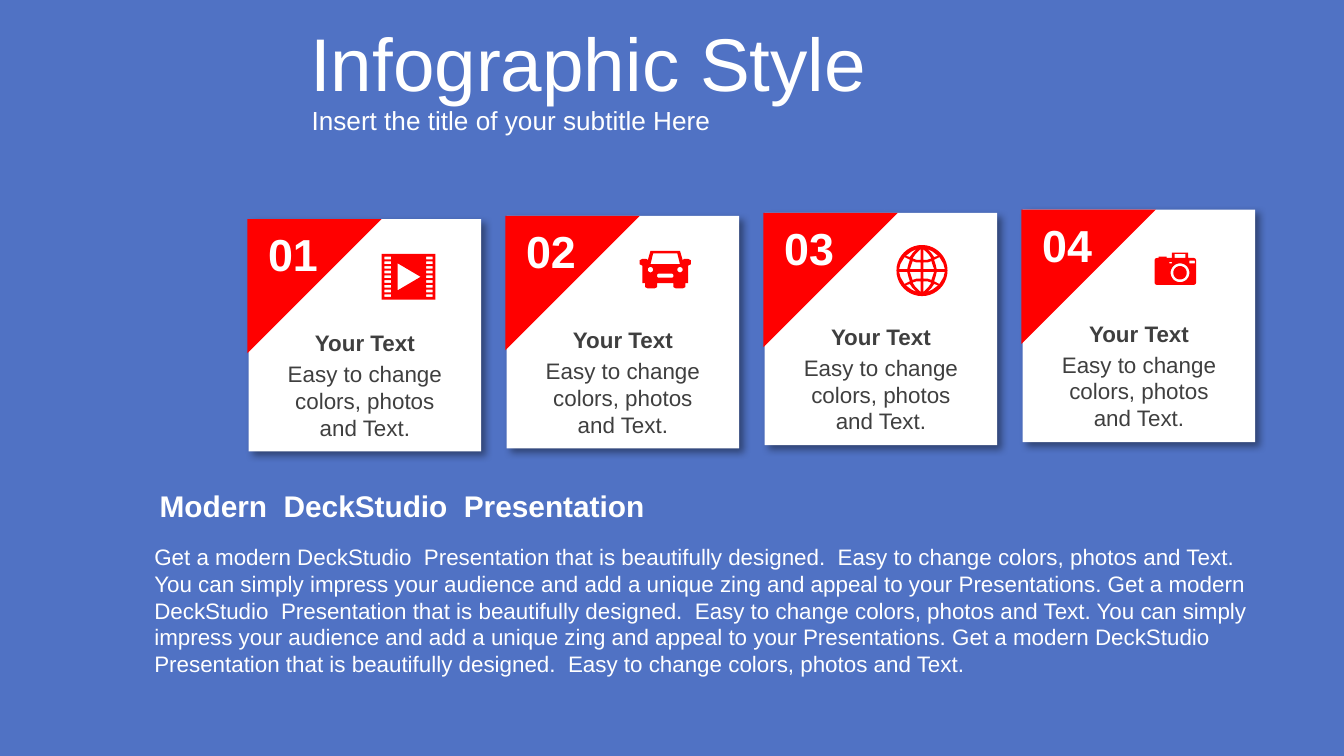
from math import cos, pi, sin

from lxml import etree
from pptx import Presentation
from pptx.dml.color import RGBColor
from pptx.enum.shapes import MSO_SHAPE
from pptx.enum.text import MSO_ANCHOR, PP_ALIGN
from pptx.oxml import parse_xml
from pptx.util import Inches, Pt

RECTANGLE, TRIANGLE = MSO_SHAPE.RECTANGLE, MSO_SHAPE.RIGHT_TRIANGLE
TOP, MIDDLE = MSO_ANCHOR.TOP, MSO_ANCHOR.MIDDLE
LEFT, CENTER = PP_ALIGN.LEFT, PP_ALIGN.CENTER
DRAWING = "http://schemas.openxmlformats.org/drawingml/2006/main"

THEME = {
    "font": "Arial",
    "background": "5072C4",
    "white": "FFFFFF",
    "accent": "FF0000",
    "dark": "3F3F3F",
    "title": 40,
    "number": 24,
    "heading": 16,
    "subtitle": 14,
    "body": 12,
}

PITCH_START = (
    "Get a modern DeckStudio  Presentation that is beautifully designed.  "
    "Easy to change colors, photos and Text."
)
PITCH_END = (
    "You can simply impress your audience and add a unique zing and appeal "
    "to your Presentations."
)
TEXTS = [
    ("Modern  DeckStudio  Presentation", (1.09, 3.58, 4.57, 0.37),
     {"size": "heading", "bold": True}),
    (" ".join([PITCH_START, PITCH_END] * 2 + [PITCH_START]),
     (1.05, 3.99, 8.4, 1.11), {"size": "body"}),
    ("Infographic Style", (2.21, 0.13, 7.79, 0.66),
     {"size": "title", "anchor": MIDDLE, "inset": 0.1}),
    ("Insert the title of your subtitle Here", (2.22, 0.74, 7.76, 0.31),
     {"size": "subtitle", "anchor": MIDDLE, "inset": 0.1}),
]
CARDS = [
    ("01", "film", (1.19, 0.43)),
    ("02", "car", (1.18, 0.4)),
    ("03", "globe", (1.17, 0.43)),
    ("04", "camera", (1.14, 0.44)),
]
CARD_TITLE = "Your Text"
CARD_BODY = "Easy to change colors, photos and Text."
CARD_LEFT, CARD_TOP, CARD_SIZE = 1.85, 1.63, 1.73
CARD_STEP, CARD_RISE = 1.92, 0.07

CAR_SIDE = [
    (0.11, -0.14), (0.13, -0.07), (0.14, -0.08), (0.17, -0.08),
    (0.19, -0.07), (0.19, -0.04), (0.17, -0.03), (0.17, 0.1),
    (0.15, 0.1), (0.15, 0.13), (0.13, 0.14), (0.08, 0.14),
    (0.06, 0.13), (0.06, 0.1),
]
GLOBE_QUARTER = [
    [(0.11, 0.01), (0.17, 0.01), (0.16, 0.05), (0.13, 0.1),
     (0.09, 0.08), (0.1, 0.05)],
    [(0.01, 0.01), (0.09, 0.01), (0.08, 0.04), (0.07, 0.07),
     (0.04, 0.06), (0.01, 0.06)],
    [(0.01, 0.08), (0.04, 0.08), (0.07, 0.09), (0.05, 0.12), (0.01, 0.16)],
    [(0.09, 0.1), (0.12, 0.11), (0.08, 0.14), (0.04, 0.16), (0.07, 0.13)],
]


def circle(x, y, radius, start=0.0, sweep=2 * pi, steps=40):
    angles = [start + sweep * step / steps for step in range(steps + 1)]
    return [(x + radius * cos(a), y + radius * sin(a)) for a in angles]


def rectangle(x, y, width, height, radius=0.0):
    if not radius:
        return [(x, y), (x + width, y), (x + width, y + height), (x, y + height)]
    right, bottom = x + width - radius, y + height - radius
    corners = [(right, bottom), (x + radius, bottom),
               (x + radius, y + radius), (right, y + radius)]
    return [
        point
        for turn, (cx, cy) in enumerate(corners)
        for point in circle(cx, cy, radius, turn * pi / 2, pi / 2, 6)
    ]


def mirror(points):
    return points + [(-x, y) for x, y in reversed(points)]


def film():
    holes = [
        rectangle(x, -0.15 + row * 0.035, 0.05, 0.02)
        for row in range(9) for x in (-0.18, 0.13)
    ]
    play = [(-0.08, -0.1), (-0.08, 0.1), (0.09, 0)]
    return [rectangle(-0.2, -0.17, 0.4, 0.34), play, *holes]


def car():
    window = mirror([(0.09, -0.12), (0.11, -0.04)])
    lights = [circle(x, 0, 0.02) for x in (-0.11, 0.11)]
    return [mirror(CAR_SIDE), window, rectangle(-0.06, 0.03, 0.12, 0.03, 0.01), *lights]


def globe():
    cells = [
        [(x * side, y * end) for x, y in cell]
        for cell in GLOBE_QUARTER for side in (-1, 1) for end in (-1, 1)
    ]
    return [circle(0, 0, 0.19), *cells]


def camera():
    body = rectangle(-0.16, -0.08, 0.31, 0.2, 0.02)
    bump = [(-0.03, -0.08), (-0.03, -0.12), (0.09, -0.12), (0.09, -0.08)]
    viewer = rectangle(-0.01, -0.11, 0.08, 0.03)
    button = rectangle(-0.13, -0.09, 0.06, 0.01)
    flashes = [rectangle(-0.05, -0.05, 0.02, 0.01), rectangle(0.1, -0.06, 0.04, 0.02)]
    lens = [circle(0.03, 0.03, radius) for radius in (0.07, 0.05)]
    return [body, bump, viewer, button, *flashes, *lens]


ICONS = {"film": film, "car": car, "globe": globe, "camera": camera}


def paint(shape, color):
    shape.shadow.inherit = False
    shape.fill.solid()
    shape.fill.fore_color.rgb = RGBColor.from_string(THEME[color])
    shape.line.fill.background()


def add_block(page, kind, place, color):
    shape = page.shapes.add_shape(kind, *map(Inches, place))
    paint(shape, color)
    return shape


def add_shadow(shape):
    effects = shape._element.spPr.find(f"{{{DRAWING}}}effectLst")
    shadow = parse_xml(
        f'<a:outerShdw xmlns:a="{DRAWING}" blurRad="50800" dist="38100" '
        'dir="2700000" algn="tl" rotWithShape="0">'
        '<a:srgbClr val="000000"/></a:outerShdw>'
    )
    etree.SubElement(shadow[0], f"{{{DRAWING}}}alpha", val="40000")
    effects.append(shadow)


def add_icon(page, contours, x, y):
    placed = [[(Inches(x + dx), Inches(y + dy)) for dx, dy in c] for c in contours]
    builder = page.shapes.build_freeform(*placed[0][0])
    for index, contour in enumerate(placed):
        if index:
            builder.move_to(*contour[0])
        builder.add_line_segments(contour[1:], close=True)
    paint(builder.convert_to_shape(), "accent")


def add_text(page, text, place, size, color="white", bold=False,
             align=LEFT, anchor=TOP, inset=0.05):
    box = page.shapes.add_textbox(*map(Inches, place))
    frame = box.text_frame
    layout = {
        "word_wrap": True, "vertical_anchor": anchor,
        "margin_left": Inches(0.1), "margin_right": Inches(0.1),
        "margin_top": Inches(inset), "margin_bottom": Inches(inset),
    }
    for name, value in layout.items():
        setattr(frame, name, value)
    para = frame.paragraphs[0]
    para.alignment = align
    span = para.add_run()
    span.text = text
    for name, value in {"name": THEME["font"], "size": Pt(THEME[size]), "bold": bold}.items():
        setattr(span.font, name, value)
    span.font.color.rgb = RGBColor.from_string(THEME[color])


def add_card(page, index, number, icon, offset):
    left = CARD_LEFT + index * CARD_STEP
    top = CARD_TOP - index * CARD_RISE / (len(CARDS) - 1)
    add_shadow(add_block(page, RECTANGLE, (left, top, CARD_SIZE, CARD_SIZE), "white"))
    add_block(page, TRIANGLE, (left - 0.01, top, 1, 1), "accent").rotation = 90
    add_icon(page, ICONS[icon](), left + offset[0], top + offset[1])
    labels = [
        (number, (-0.01, 0.01, 0.68, 0.5), "number", "white", True),
        (CARD_BODY, (0.09, 1, 1.55, 0.71), "body", "dark", False),
        (CARD_TITLE, (0.09, 0.77, 1.55, 0.3), "body", "dark", True),
    ]
    for text, (dx, dy, width, height), size, color, bold in labels:
        add_text(page, text, (left + dx, top + dy, width, height),
                 size, color, bold, CENTER)


def main():
    deck = Presentation()
    deck.slide_width = Inches(10)
    deck.slide_height = deck.slide_width * 9 // 16
    page = deck.slides.add_slide(deck.slide_layouts[6])
    page.background.fill.solid()
    page.background.fill.fore_color.rgb = RGBColor.from_string(THEME["background"])
    for index, card in enumerate(CARDS):
        add_card(page, index, *card)
    for text, place, style in TEXTS:
        add_text(page, text, place, **style)
    deck.save("out.pptx")


if __name__ == "__main__":
    main()
